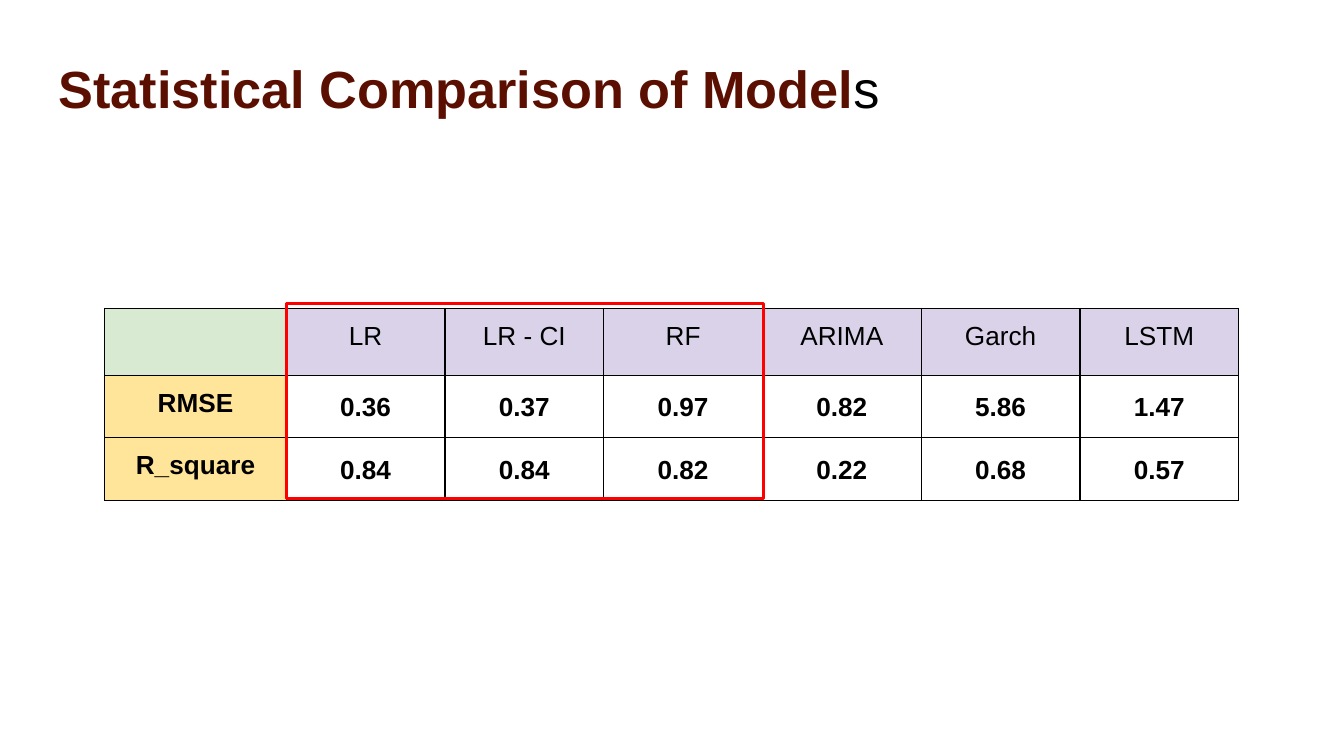
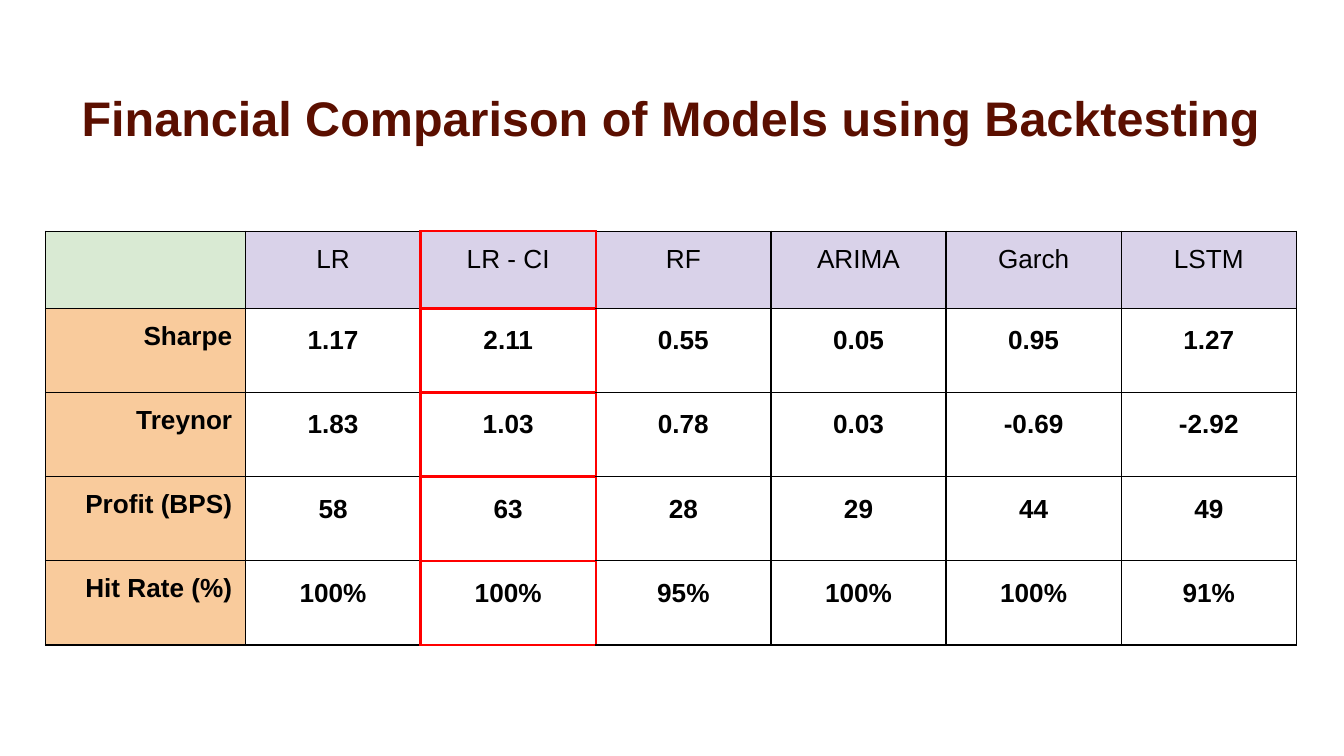
import pptx
import pptx.util
import pptx.dml.color
import pptx.enum.shapes
import pptx.enum.text
import pptx.oxml.ns
import lxml.etree

Cm, Pt = pptx.util.Cm, pptx.util.Pt
ALIGN = pptx.enum.text.PP_ALIGN
FONT = "Arial"
MAROON, BLACK, WHITE, RED = "5B0F00", "000000", "FFFFFF", "FF0000"
GREEN, LILAC, YELLOW, ORANGE = "D9EAD3", "D9D2E9", "FFE599", "F9CB9C"
MODELS = ["LR", "LR - CI", "RF", "ARIMA", "Garch", "LSTM"]
INSETS = {"margin_left": Cm(0.25), "margin_top": Cm(0.25),
          "margin_right": Cm(0.25), "margin_bottom": Cm(0.25)}


def rgb(hex_color):
    return pptx.dml.color.RGBColor.from_string(hex_color)


def set_attrs(obj, values):
    for name, value in values.items():
        setattr(obj, name, value)


def add_run(p, text, size, color, bold):
    r = p.add_run()
    r.text = text
    set_attrs(r.font, {"name": FONT, "size": Pt(size), "bold": bold})
    r.font.color.rgb = rgb(color)


def add_title(slide, box, runs, size, para_format):
    """Title: runs are (text, colour, bold)."""
    sp = slide.shapes.add_textbox(*map(Cm, box))
    tf = sp.text_frame
    set_attrs(tf, {"word_wrap": True, **INSETS})
    p = tf.paragraphs[0]
    set_attrs(p, para_format)
    for text, color, bold in runs:
        add_run(p, text, size, color, bold)


def set_border(cell, side, color, width):
    tc_pr = cell._tc.get_or_add_tcPr()
    qn = pptx.oxml.ns.qn
    ln = lxml.etree.SubElement(tc_pr, qn(f"a:ln{side}"), w=str(Pt(width)))
    fill = lxml.etree.SubElement(ln, qn("a:solidFill"))
    lxml.etree.SubElement(fill, qn("a:srgbClr"), val=color)


def format_cell(cell, text, fill, align, bold, spacing, red_sides):
    for side in "LRTB":
        red = side in red_sides
        set_border(cell, side, RED if red else BLACK, 1.5 if red else 0.75)
    set_attrs(cell, INSETS)
    cell.fill.solid()
    cell.fill.fore_color.rgb = rgb(fill)
    if text:
        p = cell.text_frame.paragraphs[0]
        set_attrs(p, {"alignment": align, "line_spacing": spacing})
        add_run(p, text, 14, BLACK, bold)


def add_model_table(slide, left, top, col_widths, row_heights, metrics,
                    label_fill, label_align, marked_col=None):
    """Metrics by model; marked_col gets red borders."""
    rows = [["", *MODELS], *([name, *values] for name, values in metrics.items())]
    label_w, model_w = col_widths
    header_h, body_h = row_heights
    widths = [label_w] + [model_w] * len(MODELS)
    heights = [header_h] + [body_h] * len(metrics)
    table = slide.shapes.add_table(len(rows), len(widths), Cm(left), Cm(top),
                                   Cm(sum(widths)), Cm(sum(heights))).table
    set_attrs(table, {"first_row": False, "horz_banding": False})
    for column, width in zip(table.columns, widths):
        column.width = Cm(width)
    for row, height in zip(table.rows, heights):
        row.height = Cm(height)

    # Sides shared with the marked column are red in its neighbours too
    red = {}
    if marked_col is not None:
        red = {marked_col - 1: "R", marked_col: "LRTB", marked_col + 1: "L"}
    for i, row in enumerate(rows):
        for j, text in enumerate(row):
            fill, align, spacing = WHITE, ALIGN.CENTER, 1.15
            if i == 0:
                fill, spacing = (LILAC if j else GREEN), 1.0
            elif j == 0:
                fill, align, spacing = label_fill, label_align, 1.0
            format_cell(table.cell(i, j), text, fill, align, i > 0, spacing,
                        red.get(j, ""))


def add_highlight(slide, box):
    """Red outline around the best models."""
    sp = slide.shapes.add_shape(pptx.enum.shapes.MSO_SHAPE.RECTANGLE, *map(Cm, box))
    sp.shadow.inherit = False
    sp.fill.background()
    sp.line.color.rgb = rgb(RED)
    sp.line.width = Pt(1.5)


def statistical_slide(slide):
    add_title(slide, (0.86, 0.81, 23.67, 1.6),
              [("Statistical Comparison of Model", MAROON, True), ("s", BLACK, False)],
              28, {"alignment": ALIGN.LEFT})
    metrics = {
        "RMSE": ["0.36", "0.37", "0.97", "0.82", "5.86", "1.47"],
        "R_square": ["0.84", "0.84", "0.82", "0.22", "0.68", "0.57"],
    }
    add_model_table(slide, 1.98, 5.83, (3.43, 3), (1.23, 1.14), metrics,
                    YELLOW, ALIGN.CENTER)
    add_highlight(slide, (5.41, 5.74, 9.02, 3.68))


def financial_slide(slide):
    add_title(slide, (0.86, 1.24, 23.67, 1.6),
              [("Financial Comparison of Models using Backtesting", MAROON, True)],
              26, {"alignment": ALIGN.CENTER, "line_spacing": 1.15,
                   "space_after": Pt(16)})
    metrics = {
        "Sharpe": ["1.17", "2.11", "0.55", "0.05", "0.95", "1.27"],
        "Treynor": ["1.83", "1.03", "0.78", "0.03", "-0.69", "-2.92"],
        "Profit (BPS)": ["58", "63", "28", "29", "44", "49"],
        "Hit Rate (%)": ["100%", "100%", "95%", "100%", "100%", "91%"],
    }
    add_model_table(slide, 0.86, 4.37, (3.78, 3.31), (1.46, 1.59), metrics,
                    ORANGE, ALIGN.RIGHT, marked_col=2)


def main():
    prs = pptx.Presentation()
    set_attrs(prs, {"slide_width": Cm(25.4), "slide_height": Cm(14.29)})
    for build in (statistical_slide, financial_slide):
        build(prs.slides.add_slide(prs.slide_layouts[6]))
    prs.save("out.pptx")


if __name__ == "__main__":
    main()
